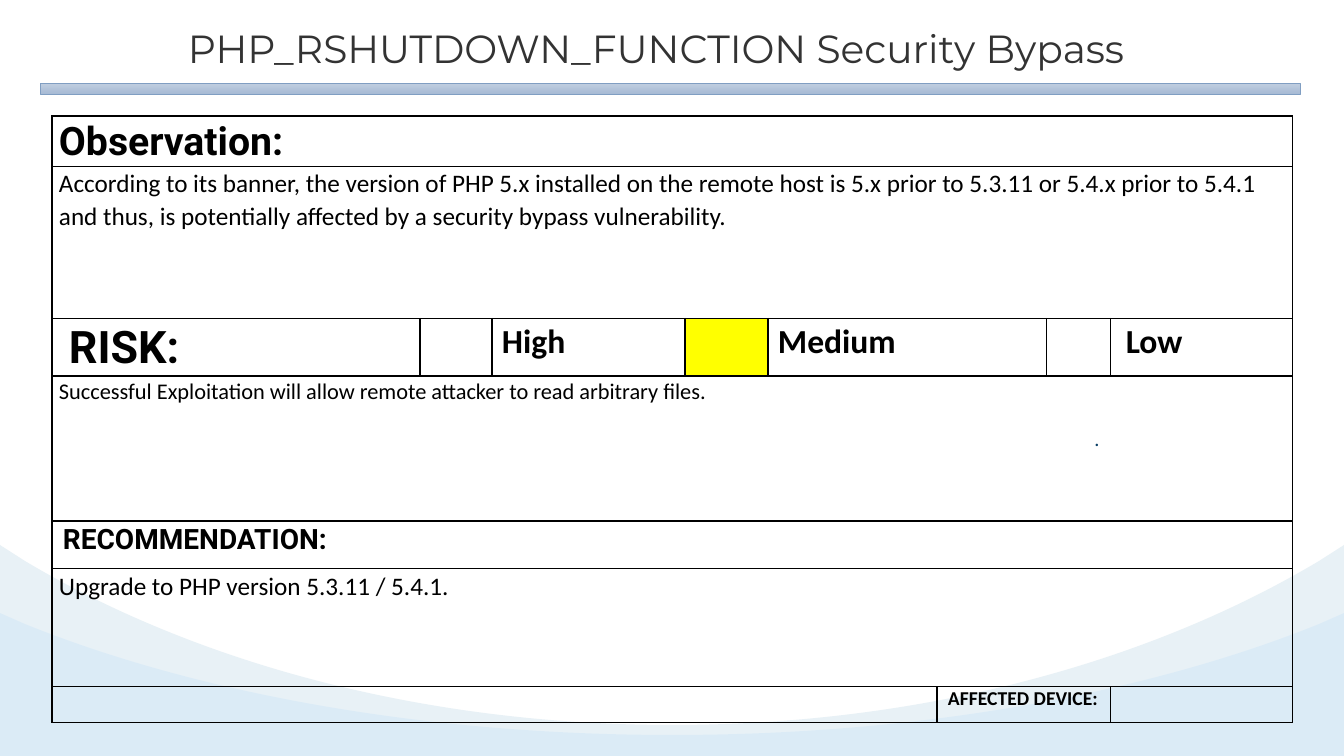
from lxml.etree import SubElement
from pptx import Presentation
from pptx.dml.color import RGBColor
from pptx.enum.shapes import MSO_SHAPE
from pptx.enum.text import MSO_ANCHOR, PP_ALIGN
from pptx.oxml.ns import qn
from pptx.util import Pt

EMU_PER_PX = 914400 / 100.8
PAGE_WIDTH, PAGE_HEIGHT = 1344, 756
COLUMNS = [368, 72, 193, 83, 169, 110, 64, 182]
ROWS = [50, 152, 57, 145, 48, 118, 36]
# Row, first column, last column, text, format
CELLS = [
    (0, 0, 7, "Observation:", dict(size=28, font="Roboto", bold=True)),
    (1, 0, 7, "According to its banner, the version of PHP 5.x installed on the "
     "remote host is 5.x prior to 5.3.11 or 5.4.x prior to 5.4.1 and thus, is "
     "potentially affected by a security bypass vulnerability.", dict(size=18)),
    (2, 0, 0, "RISK:", dict(size=32, font="Roboto", bold=True, indent=10)),
    (2, 1, 1, "", dict(fill="FFFFFF")),
    (2, 2, 2, "High", dict(size=24, bold=True, indent=3)),
    (2, 3, 3, "", dict(fill="FFFF00")),
    (2, 4, 5, "Medium", dict(size=24, bold=True, indent=3)),
    (2, 6, 6, "", dict(fill="FFFFFF")),
    (2, 7, 7, "Low", dict(size=24, bold=True, indent=8)),
    (3, 0, 7, "Successful Exploitation will allow remote attacker to read "
     "arbitrary files.", dict(size=16)),
    (4, 0, 7, "RECOMMENDATION:", dict(size=20, font="Roboto", bold=True, indent=4)),
    (5, 0, 7, "Upgrade to PHP version 5.3.11 / 5.4.1.", dict(size=18)),
    (6, 0, 4, "", {}),
    (6, 5, 6, "AFFECTED DEVICE:",
     dict(size=14, bold=True, indent=4, line=1, after=0)),
    (6, 7, 7, "", {}),
]


def px(length):
    return round(length * EMU_PER_PX)


def rgb(value):
    return RGBColor.from_string(value)


def write(frame, text, size=11, font="Calibri", color="000000", bold=False,
          align=PP_ALIGN.LEFT, line=1.0, after=0):
    frame.word_wrap = True
    para = frame.paragraphs[0]
    para.alignment = align
    para.line_spacing = line
    para.space_before = Pt(0)
    para.space_after = Pt(after)
    para.font.size = Pt(size)
    if text:
        span = para.add_run()
        span.text = text
        span.font.size, span.font.name, span.font.bold = Pt(size), font, bold
        span.font.color.rgb = rgb(color)


def set_margins(box, left=0, right=0):
    box.margin_left, box.margin_right = px(left), px(right)
    box.margin_top = box.margin_bottom = 0


def paint(shape, color):
    shape.fill.solid()
    shape.fill.fore_color.rgb = rgb(color)


def add_title(page, text):
    title = page.shapes.title
    title.left, title.top, title.width, title.height = map(px, (61, 20, 1180, 110))
    paint(title, "FFFFFF")
    title.line.color.rgb = rgb("FFFFFF")
    title.line.width = Pt(1)
    set_margins(title.text_frame, left=10)
    title.text_frame.margin_top = px(4)
    title.text_frame.vertical_anchor = MSO_ANCHOR.TOP
    write(title.text_frame, text, size=28, font="Montserrat", color="333333",
          align=PP_ALIGN.CENTER)


def bend(segment, first, second):
    """Turn a straight segment into a cubic curve with two control points."""
    segment.tag = qn("a:cubicBezTo")
    for place, (x, y) in enumerate((first, second)):
        control = SubElement(segment, qn("a:pt"), x=str(px(x)), y=str(px(y)))
        segment.insert(place, control)


def add_wave(group, edge, shoulder, slope, bottom, color, alpha=None):
    outline = [(0, edge), (25, shoulder), (PAGE_WIDTH // 2, bottom),
               (PAGE_WIDTH - 25, shoulder), (PAGE_WIDTH, edge),
               (PAGE_WIDTH, PAGE_HEIGHT), (0, PAGE_HEIGHT)]
    points = [(px(x), px(y)) for x, y in outline]
    builder = group.shapes.build_freeform(*points[0], scale=1.0)
    builder.add_line_segments(points[1:], close=True)
    wave = builder.convert_to_shape()
    segments = list(wave._element.iter(qn("a:lnTo")))
    outer, inner = (196, slope - edge), (423, bottom - edge)
    bend(segments[1], outer, inner)
    bend(segments[2], *((PAGE_WIDTH - x, y) for x, y in (inner, outer)))
    wave.shadow.inherit = False
    wave.line.fill.background()
    paint(wave, color)
    if alpha:
        tint = wave.fill._xPr.find(qn("a:solidFill"))[0]
        SubElement(tint, qn("a:alpha"), val=str(alpha * 1000))


def add_title_bar(page):
    bar = page.shapes.add_shape(MSO_SHAPE.RECTANGLE, *map(px, (40, 83, 1260, 11)))
    bar.shadow.inherit = False
    bar.fill.gradient()
    bar.fill.gradient_angle = 270
    for place, color in enumerate(("C0CEE0", "A8BBD5")):
        stop = bar.fill.gradient_stops[place]
        stop.color.rgb = rgb(color)
        stop.position = place
    bar.line.color.rgb = rgb("809EC2")
    bar.line.width = Pt(0.5)


def add_borders(cell):
    properties = cell._tc.get_or_add_tcPr()
    for side in ("lnL", "lnR", "lnT", "lnB"):
        border = SubElement(properties, qn(f"a:{side}"), w=str(Pt(1)))
        SubElement(SubElement(border, qn("a:solidFill")), qn("a:srgbClr"), val="000000")


def fill_cell(cell, text, fill=None, indent=0, line=1.07, after=8, **style):
    set_margins(cell, left=7 + indent, right=7)
    if fill:
        paint(cell, fill)
    write(cell.text_frame, text, line=line, after=after if text else 0, **style)


def add_finding_table(page):
    frame = page.shapes.add_table(len(ROWS), len(COLUMNS), px(52), px(116),
                                  px(sum(COLUMNS)), px(sum(ROWS)))
    table = frame.table
    table.first_row = table.horz_banding = False
    for column, width in zip(table.columns, COLUMNS):
        column.width = px(width)
    for row, height in zip(table.rows, ROWS):
        row.height = px(height)
    for cell in table.iter_cells():
        add_borders(cell)
        cell.fill.background()
        set_margins(cell)
        cell.text_frame.paragraphs[0].font.size = Pt(11)
    for row, first, last, text, style in CELLS:
        cell = table.cell(row, first)
        if last > first:
            cell.merge(table.cell(row, last))
        fill_cell(cell, text, **style)


def main():
    deck = Presentation()
    deck.slide_width, deck.slide_height = px(PAGE_WIDTH), px(PAGE_HEIGHT)
    page = deck.slides.add_slide(deck.slide_layouts[5])

    # Small dot behind the table
    dot = page.shapes.add_textbox(*map(px, (970, 427, 254, 24)))
    set_margins(dot.text_frame)
    write(dot.text_frame, ".", size=14, font="Lato", color="083D65",
          align=PP_ALIGN.CENTER)

    # Background waves
    waves = page.shapes.add_group_shape()
    add_wave(waves, 545, 561, 663, 725, "E8F1F6")
    add_wave(waves, 613, 624, 693, 735, "7AC2F9", alpha=11)

    # Heading
    add_title(page, "PHP_RSHUTDOWN_FUNCTION Security Bypass")
    add_title_bar(page)

    # Finding
    add_finding_table(page)
    deck.save("out.pptx")


if __name__ == "__main__":
    main()
